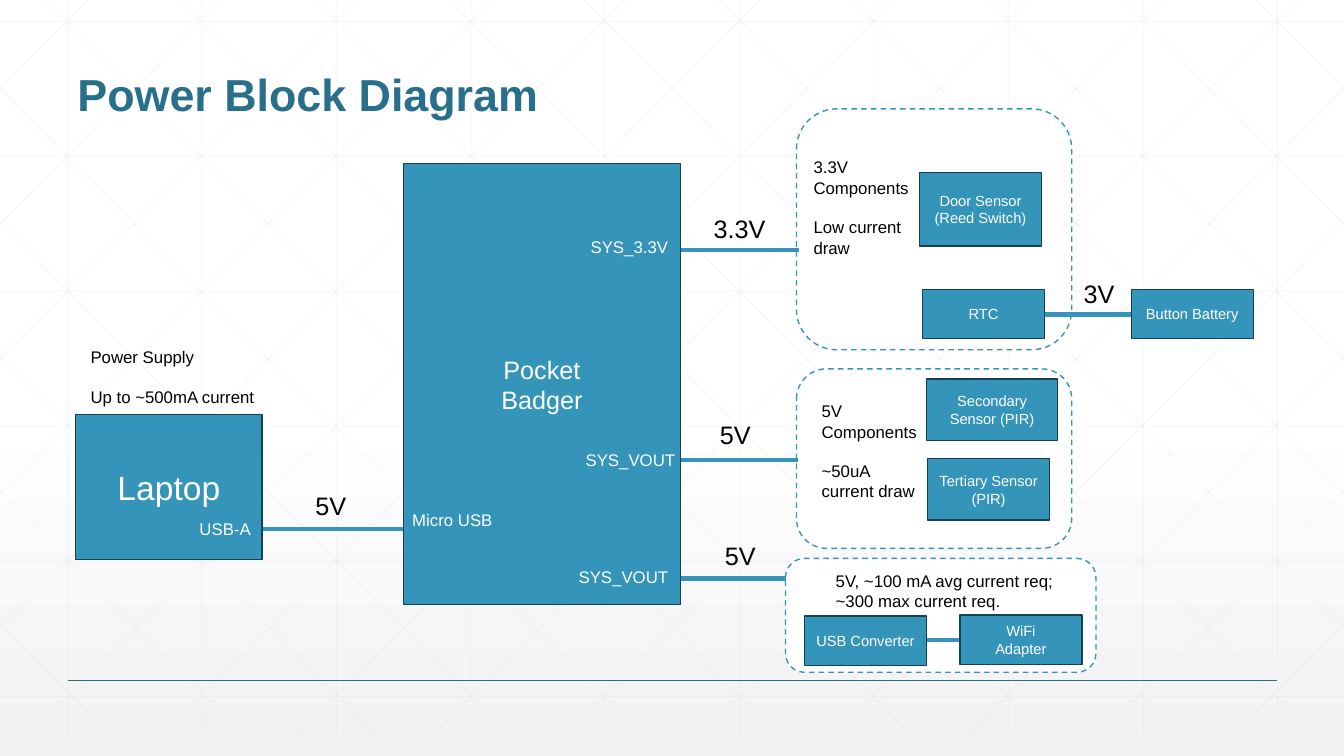
from copy import deepcopy
from lxml.etree import SubElement
from pptx import Presentation
from pptx.dml.color import RGBColor as RGB
from pptx.enum.dml import MSO_LINE as DASH
from pptx.enum.shapes import MSO_CONNECTOR as LINK, MSO_SHAPE as SHAPE
from pptx.enum.text import MSO_ANCHOR as ANCHOR, PP_ALIGN as ALIGN
from pptx.oxml.ns import qn
from pptx.util import Pt

PX = 9144
WIDTH, HEIGHT = 1333, 750
COLORS = {
    "white": "FFFFFF", "fade": "F2F2F2", "grid": "D9D9D9", "black": "000000",
    "title": "276F8B", "blue": "3494BA", "edge": "174152",
}
RGBS = {name: RGB.from_string(value) for name, value in COLORS.items()}

deck = Presentation()
deck.slide_width, deck.slide_height = WIDTH * PX, HEIGHT * PX
slide = deck.slides.add_slide(deck.slide_layouts[6])
shapes = slide.shapes


def add_line(ends, color, weight, opacity=None):
    line = shapes.add_connector(LINK.STRAIGHT, *[round(end) * PX for end in ends])
    line.line.color.rgb = RGBS[color]
    line.line.width = Pt(weight)
    properties = line._element.spPr
    SubElement(properties, qn("a:effectLst"))
    if opacity:
        tint = properties.find(".//" + qn("a:srgbClr"))
        SubElement(tint, qn("a:alpha")).set("val", str(opacity * 1000))


def add_text(frame, text, size, color, anchor=ANCHOR.TOP, align=ALIGN.LEFT, gap=0, bold=False):
    frame.word_wrap = True
    frame.vertical_anchor = anchor
    font_values = {"name": "Arial", "size": Pt(size), "bold": bold}
    for index, words in enumerate(text.split("\n")):
        paragraph = frame.add_paragraph() if index else frame.paragraphs[0]
        paragraph.text = words
        paragraph.alignment = align
        if index and gap:
            paragraph.space_before = Pt(gap)
        for name, value in font_values.items():
            setattr(paragraph.font, name, value)
        paragraph.font.color.rgb = RGBS[color]


backdrop = slide.background.fill
backdrop.gradient()
backdrop.gradient_angle = 270
stop_list = slide.element.find(".//" + qn("a:gsLst"))
stop_list.insert(1, deepcopy(stop_list[0]))
for stop, position, color in zip(backdrop.gradient_stops, (0, 0.53, 1), ("white", "white", "fade")):
    stop.position = position
    stop.color.rgb = RGBS[color]

TOP, BOTTOM = -21, 729
SLOPE = 750 / 745.5
grid = [(67 + 400 * i / 3, TOP, 67 + 400 * i / 3, BOTTOM) for i in range(10)]
grid += [(0, 21 + 134 * i, WIDTH, 21 + 134 * i) for i in range(6)]
diagonals = []
for i in range(10):
    start = 25 + 400 * i / 3
    run = min(745.5, WIDTH - start)
    diagonals.append((start, TOP, start + run, TOP + run * SLOPE))
for i in range(5):
    start = 637 - 132 * i
    diagonals.append((start, BOTTOM, 0, BOTTOM - start * SLOPE))
mirrored = [(WIDTH - x1, y1, WIDTH - x2, y2) for x1, y1, x2, y2 in diagonals]
for ends in grid + diagonals + mirrored:
    add_line(ends, "grid", 0.5, 25)
add_line((67, 675, 1267, 675), "title", 1)

title = shapes.add_textbox(67 * PX, 25 * PX, 1200 * PX, 100 * PX).text_frame
add_text(title, "Power Block Diagram", 32, "title", ANCHOR.BOTTOM, bold=True)
title.paragraphs[0].line_spacing = 0.9

load_groups = [(779, 554, 308, 113), (790, 366, 273, 178), (790, 108, 273, 239)]
for bounds in load_groups:
    group = shapes.add_shape(SHAPE.ROUNDED_RECTANGLE, *[n * PX for n in bounds])
    group.shadow.inherit = False
    group.fill.solid()
    group.fill.fore_color.rgb = RGBS["white"]
    group.line.color.rgb = RGBS["blue"]
    group.line.width = Pt(1)
    group.line.dash_style = DASH.DASH

wires = [
    (603, 780, 574), (614, 791, 456), (615, 792, 248),
    (1033, 1125, 312), (254, 400, 525), (915, 975, 635),
]
for left, right, y in wires:
    add_line((left, y, right, y), "blue", 3)

blocks = [
    ("Pocket\nBadger", 18, 400, 162, 275, 438),
    ("Laptop", 24, 75, 411, 185, 144),
    ("USB Converter", 10.5, 798, 611, 121, 49),
    ("WiFi\nAdapter", 10.5, 952, 610, 121, 49),
    ("Door Sensor (Reed Switch)", 10.5, 912, 171, 121, 73),
    ("Secondary Sensor (PIR)", 10.5, 919, 376, 130, 61),
    ("Tertiary Sensor (PIR)", 10.5, 920, 455, 121, 61),
    ("RTC", 10.5, 915, 287, 121, 49),
    ("Button Battery", 10.5, 1122, 287, 121, 49),
]
for text, size, *bounds in blocks:
    block = shapes.add_shape(SHAPE.RECTANGLE, *[n * PX for n in bounds])
    block.shadow.inherit = False
    block.fill.solid()
    block.fill.fore_color.rgb = RGBS["blue"]
    block.line.color.rgb = RGBS["edge"]
    block.line.width = Pt(1)
    add_text(block.text_frame, text, size, "white", ANCHOR.MIDDLE, ALIGN.CENTER)

labels = [
    ("SYS_3.3V", 12, "white", 576, 230, 100, 30),
    ("SYS_VOUT", 12, "white", 571, 441, 121, 30),
    ("SYS_VOUT", 12, "white", 564, 557, 121, 30),
    ("Micro USB", 12, "white", 399, 501, 121, 30),
    ("USB-A", 12, "white", 188, 510, 121, 30),
    ("3.3V", 18, "black", 698, 207, 89, 40),
    ("3V", 18, "black", 1065, 271, 89, 40),
    ("5V", 18, "black", 704, 411, 89, 40),
    ("5V", 18, "black", 303, 482, 89, 40),
    ("5V", 18, "black", 709, 531, 89, 40),
    ("3.3V Components\nLow current draw", 12, "black", 797, 151, 121, 111),
    ("5V Components\n~50uA current draw", 12, "black", 805, 393, 121, 111),
    ("Power Supply\nUp to ~500mA current", 12, "black", 80, 339, 216, 71),
    ("5V, ~100 mA avg current req; ~300 max current req.", 12, "black", 819, 561, 239, 50),
]
for text, size, color, *bounds in labels:
    label = shapes.add_textbox(*[n * PX for n in bounds])
    add_text(label.text_frame, text, size, color, gap=14)

deck.save("out.pptx")
